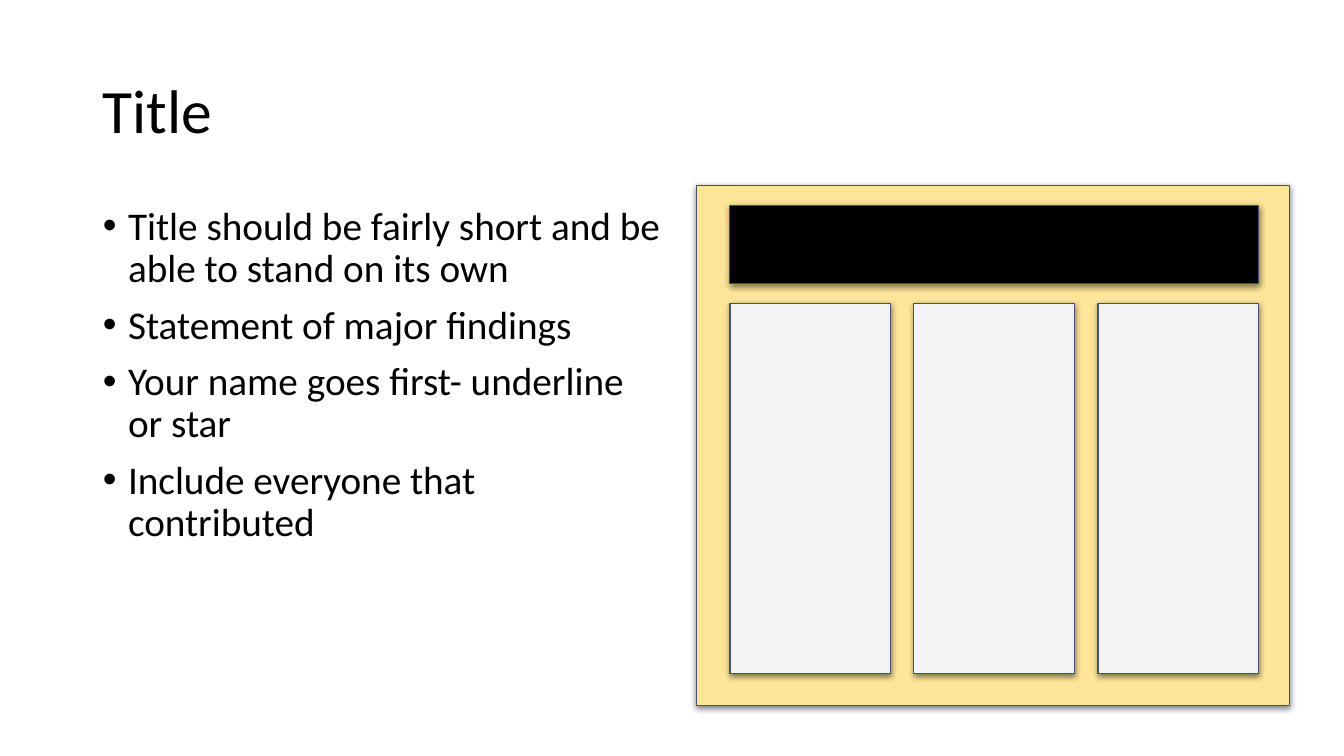
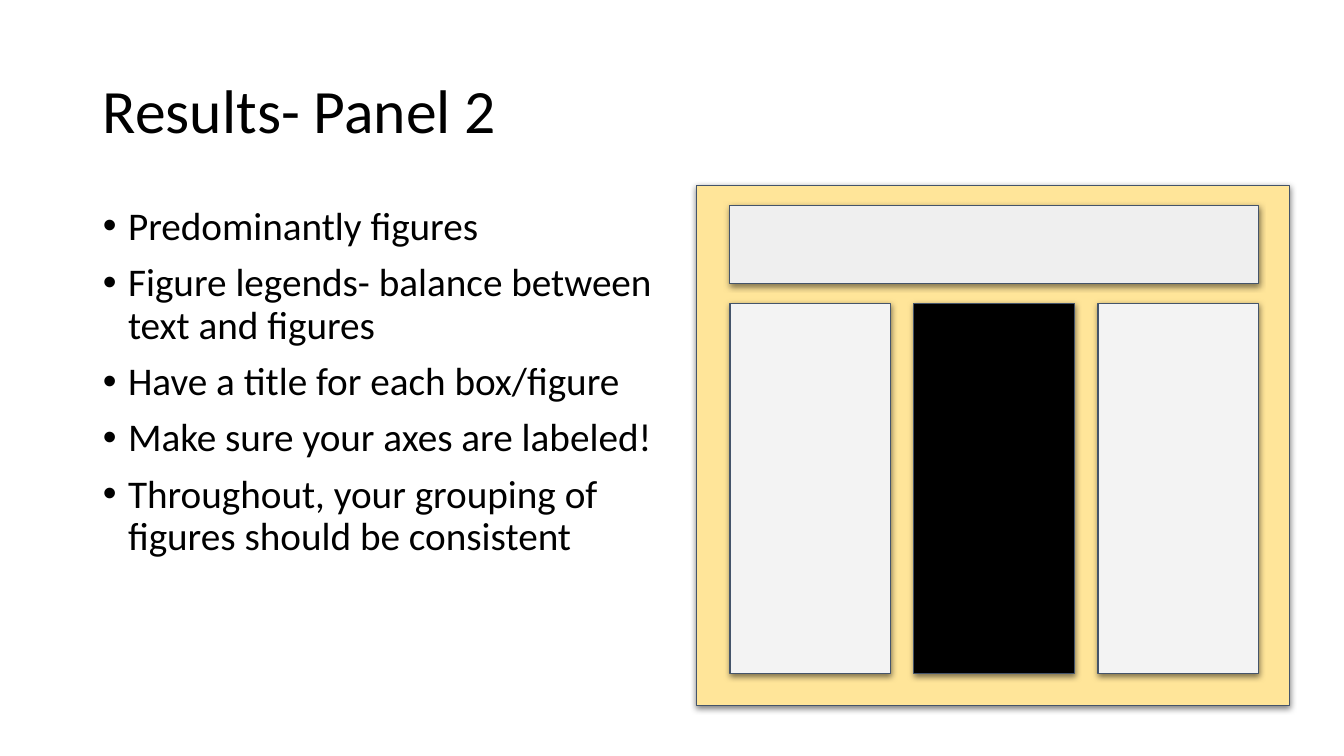
from lxml.etree import SubElement
from pptx import Presentation
from pptx.dml.color import RGBColor
from pptx.enum.shapes import MSO_SHAPE
from pptx.enum.text import MSO_ANCHOR, MSO_AUTO_SIZE, PP_ALIGN
from pptx.oxml.ns import qn
from pptx.util import Inches, Pt

BLACK = RGBColor(0x00, 0x00, 0x00)
BOARD = RGBColor(0xFF, 0xE5, 0x99)
PANEL = RGBColor(0xF3, 0xF3, 0xF3)
BANNER = RGBColor(0xEF, 0xEF, 0xEF)
OUTLINE = RGBColor(0x44, 0x54, 0x6A)

SLIDE_W, SLIDE_H = 13.33, 7.5
LEFT = 0.92
TITLE_BOX = (LEFT, 0.4, SLIDE_W - 2 * LEFT, 1.45)
BODY_BOX = (LEFT, 2, 5.76, 4.76)
BOARD_BOX = (6.91, 1.84, 5.88, 5.16)
GRID_X, GRID_W, COLS, COL_W = 7.24, 5.24, 3, 1.59
GUTTER = (GRID_W - COLS * COL_W) / (COLS - 1)
BANNER_Y, BANNER_H = 2.04, 0.77
PANEL_Y, PANEL_H = 3.01, 3.67

TITLE_FONT = {"name": "Calibri", "size": Pt(44)}
BODY_FONT = {"name": "Calibri", "size": Pt(28)}
FRAME = {"word_wrap": True, "auto_size": MSO_AUTO_SIZE.NONE}
PARAGRAPH = {"alignment": PP_ALIGN.LEFT, "line_spacing": 0.9}
SHADOW = {"blurRad": Pt(4.5), "dist": Pt(1.5), "dir": 90 * 60000, "algn": "t", "rotWithShape": 0}

SLIDES = [
    ("Title", "banner", [
        "Title should be fairly short and be able to stand on its own",
        "Statement of major findings",
        "Your name goes first- underline or star",
        "Include everyone that contributed",
    ]),
    ("Results- Panel 2", 1, [
        "Predominantly figures",
        "Figure legends- balance between text and figures",
        "Have a title for each box/figure",
        "Make sure your axes are labeled!",
        "Throughout, your grouping of figures should be consistent",
    ]),
]


def assign(target, values):
    """Set each attribute in values on target."""
    for key, value in values.items():
        setattr(target, key, value)


def fill_placeholder(ph, box, lines, font, anchor, gap=0):
    """Move a placeholder and write its formatted paragraphs."""
    assign(ph, dict(zip(("left", "top", "width", "height"), map(Inches, box))))
    tf = ph.text_frame
    tf.text = "\n".join(lines)
    assign(tf, {**FRAME, "vertical_anchor": anchor})
    for i, p in enumerate(tf.paragraphs):
        assign(p, {**PARAGRAPH, "space_before": Pt(gap if i else 0)})
        for r in p.runs:
            assign(r.font, font)
            r.font.color.rgb = BLACK


def add_bullets(tf):
    """Give every paragraph a hanging round bullet."""
    for p in tf.paragraphs:
        pPr = p._p.get_or_add_pPr()
        pPr.set("marL", str(Inches(0.25)))
        pPr.set("indent", str(-Inches(0.25)))
        SubElement(pPr, qn("a:buFont"), typeface="Arial")
        SubElement(pPr, qn("a:buChar"), char="•")


def add_block(s, box, color):
    """Draw an outlined rectangle with a soft shadow below it."""
    sp = s.shapes.add_shape(MSO_SHAPE.RECTANGLE, *map(Inches, box))
    sp.fill.solid()
    sp.fill.fore_color.rgb = color
    sp.line.color.rgb = OUTLINE
    sp.line.width = Pt(0.75)
    sp.shadow.inherit = False
    effects = sp._element.spPr.find(qn("a:effectLst"))
    shadow = SubElement(effects, qn("a:outerShdw"), {k: str(v) for k, v in SHADOW.items()})
    tint = SubElement(shadow, qn("a:srgbClr"), val=str(BLACK))
    SubElement(tint, qn("a:alpha"), val="50000")


def add_poster(s, active):
    """Draw the poster layout with its active part in black."""
    add_block(s, BOARD_BOX, BOARD)
    add_block(s, (GRID_X, BANNER_Y, GRID_W, BANNER_H), BLACK if active == "banner" else BANNER)
    for col in range(COLS):
        x = GRID_X + col * (COL_W + GUTTER)
        add_block(s, (x, PANEL_Y, COL_W, PANEL_H), BLACK if active == col else PANEL)


def add_slide(prs, title, active, points):
    """Add a slide with a title, a bullet list and the poster layout."""
    s = prs.slides.add_slide(prs.slide_layouts[1])
    body = s.placeholders[1]
    fill_placeholder(s.shapes.title, TITLE_BOX, [title], TITLE_FONT, MSO_ANCHOR.MIDDLE)
    fill_placeholder(body, BODY_BOX, points, BODY_FONT, MSO_ANCHOR.TOP, gap=10)
    add_bullets(body.text_frame)
    add_poster(s, active)


def main():
    """Build and save the presentation."""
    prs = Presentation()
    prs.slide_width, prs.slide_height = Inches(SLIDE_W), Inches(SLIDE_H)
    for title, active, points in SLIDES:
        add_slide(prs, title, active, points)
    prs.save("out.pptx")


if __name__ == "__main__":
    main()
